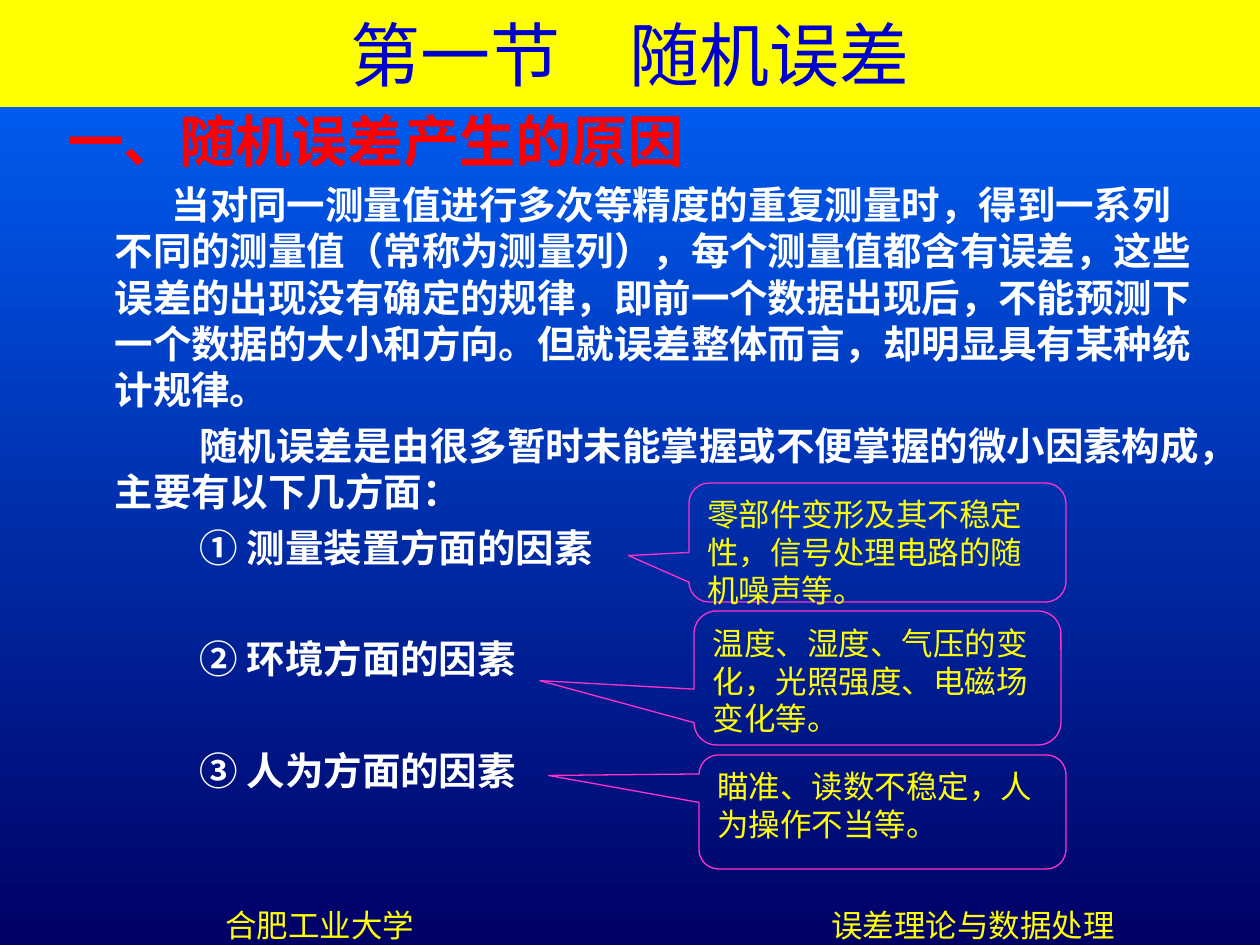
from dataclasses import dataclass
from typing import NamedTuple

from pptx import Presentation
from pptx.dml.color import RGBColor
from pptx.enum.shapes import MSO_SHAPE as Shape
from pptx.enum.text import MSO_ANCHOR as Anchor, MSO_AUTO_SIZE as AutoSize, PP_ALIGN as Align
from pptx.oxml.ns import qn
from pptx.util import Emu, Pt

PX_PER_INCH = 126


@dataclass(frozen=True)
class Theme:
    sky: str = "0066FF"
    navy: str = "000066"
    yellow: str = "FFFF00"
    blue: str = "0000CC"
    red: str = "FF0000"
    white: str = "FFFFFF"
    pink: str = "FF33CC"
    title: int = 40
    heading: int = 32
    body: int = 22
    note: int = 18
    leading: float = 1.2
    serif: str = "Times New Roman"
    sans: str = "Arial"
    cjk: str = "Noto Sans CJK SC"


class Box(NamedTuple):
    x: int
    y: int
    w: int
    h: int


class Item(NamedTuple):
    text: str
    first: int
    before: float


class Callout(NamedTuple):
    text: str
    box: Box
    tip: tuple[float, float]


class Label(NamedTuple):
    text: str
    box: Box
    size: int
    color: str
    font: str
    bold: bool


T = Theme()

ITEMS = [
    Item("当对同一测量值进行多次等精度的重复测量时，得到一系列不同的测量值（常称为测量列），"
         "每个测量值都含有误差，这些误差的出现没有确定的规律，即前一个数据出现后，"
         "不能预测下一个数据的大小和方向。但就误差整体而言，却明显具有某种统计规律。", 57, 0),
    Item("随机误差是由很多暂时未能掌握或不便掌握的微小因素构成，主要有以下几方面：", 85, 5.5),
    Item("① 测量装置方面的因素", 85, 5.5),
    Item("② 环境方面的因素", 85, 37.4),
    Item("③ 人为方面的因素", 85, 37.4),
]

CALLOUTS = [
    Callout("零部件变形及其不稳定性，信号处理电路的随机噪声等。", Box(689, 483, 377, 119), (-0.66, 0.11)),
    Callout("温度、湿度、气压的变化，光照强度、电磁场变化等。", Box(694, 611, 367, 134), (-0.92, 0.02)),
    Callout("瞄准、读数不稳定，人为操作不当等。", Box(699, 755, 367, 114), (-0.91, -0.32)),
]

LABELS = [
    Label("合肥工业大学", Box(213, 900, 214, 50), T.note, T.yellow, T.serif, False),
    Label("误差理论与数据处理", Box(819, 900, 309, 50), T.note, T.yellow, T.serif, False),
    Label("一、随机误差产生的原因", Box(55, 100, 641, 81), T.heading, T.red, T.sans, True),
]


def px(n: int) -> Emu:
    return Emu(round(n * 914400 / PX_PER_INCH))


def rgb(color: str) -> RGBColor:
    return RGBColor.from_string(color)


def place(sp, box: Box) -> None:
    sp.left, sp.top, sp.width, sp.height = map(px, box)


def write(p, text: str, *, size: int, color: str, font: str = T.serif,
          bold: bool = False, align=Align.LEFT, before: float = 0) -> None:
    p.alignment = align
    p.line_spacing = Pt(size * T.leading)
    p.space_before = Pt(before)
    r = p.add_run()
    r.text = text
    r.font.size, r.font.bold, r.font.name = Pt(size), bold, font
    r.font.color.rgb = rgb(color)
    ea = r.font._element.makeelement(qn("a:ea"), {"typeface": T.cjk})
    r.font._element.find(qn("a:latin")).addnext(ea)


def prepare(sp, anchor=Anchor.TOP, wrap: bool = True):
    tf = sp.text_frame
    tf.auto_size = AutoSize.NONE
    tf.word_wrap = wrap
    tf.vertical_anchor = anchor
    return tf


def paint_background(slide) -> None:
    fill = slide.background.fill
    fill.gradient()
    fill.gradient_angle = 270
    for stop, color, pos in zip(fill.gradient_stops, (T.sky, T.navy), (0, 1)):
        stop.color.rgb = rgb(color)
        stop.position = pos


def fill_title(sp) -> None:
    place(sp, Box(0, 0, 1260, 107))
    sp.fill.solid()
    sp.fill.fore_color.rgb = rgb(T.yellow)
    tf = prepare(sp, Anchor.MIDDLE)
    write(tf.paragraphs[0], "第一节　随机误差", size=T.title, color=T.blue, align=Align.CENTER)


def fill_body(sp, items: list[Item]) -> None:
    place(sp, Box(54, 175, 1161, 665))
    tf = prepare(sp)
    for i, item in enumerate(items):
        p = tf.add_paragraph() if i else tf.paragraphs[0]
        pPr = p._p.get_or_add_pPr()
        pPr.set("marL", str(px(48)))
        pPr.set("indent", str(px(item.first)))
        pPr.append(pPr.makeelement(qn("a:buNone"), {}))
        write(p, item.text, size=T.body, color=T.white, font=T.cjk, bold=True, before=item.before)


def draw_callout(slide, c: Callout) -> None:
    sp = slide.shapes.add_shape(Shape.ROUNDED_RECTANGULAR_CALLOUT, *map(px, c.box))
    sp.shadow.inherit = False
    sp.fill.background()
    sp.line.color.rgb = rgb(T.pink)
    sp.line.width = Pt(0.75)
    for i, value in enumerate((*c.tip, 0.17)):
        sp.adjustments[i] = value
    write(prepare(sp).paragraphs[0], c.text, size=T.note, color=T.yellow)


def draw_label(slide, label: Label) -> None:
    sp = slide.shapes.add_textbox(*map(px, label.box))
    tf = prepare(sp, wrap=False)
    write(tf.paragraphs[0], label.text, size=label.size, color=label.color,
          font=label.font, bold=label.bold)


def main() -> None:
    prs = Presentation()
    prs.slide_width, prs.slide_height = px(1260), px(945)
    slide = prs.slides.add_slide(prs.slide_layouts[1])
    paint_background(slide)
    fill_title(slide.shapes.title)
    fill_body(slide.placeholders[1], ITEMS)
    for callout in CALLOUTS:
        draw_callout(slide, callout)
    for label in LABELS:
        draw_label(slide, label)
    prs.save("out.pptx")


if __name__ == "__main__":
    main()
